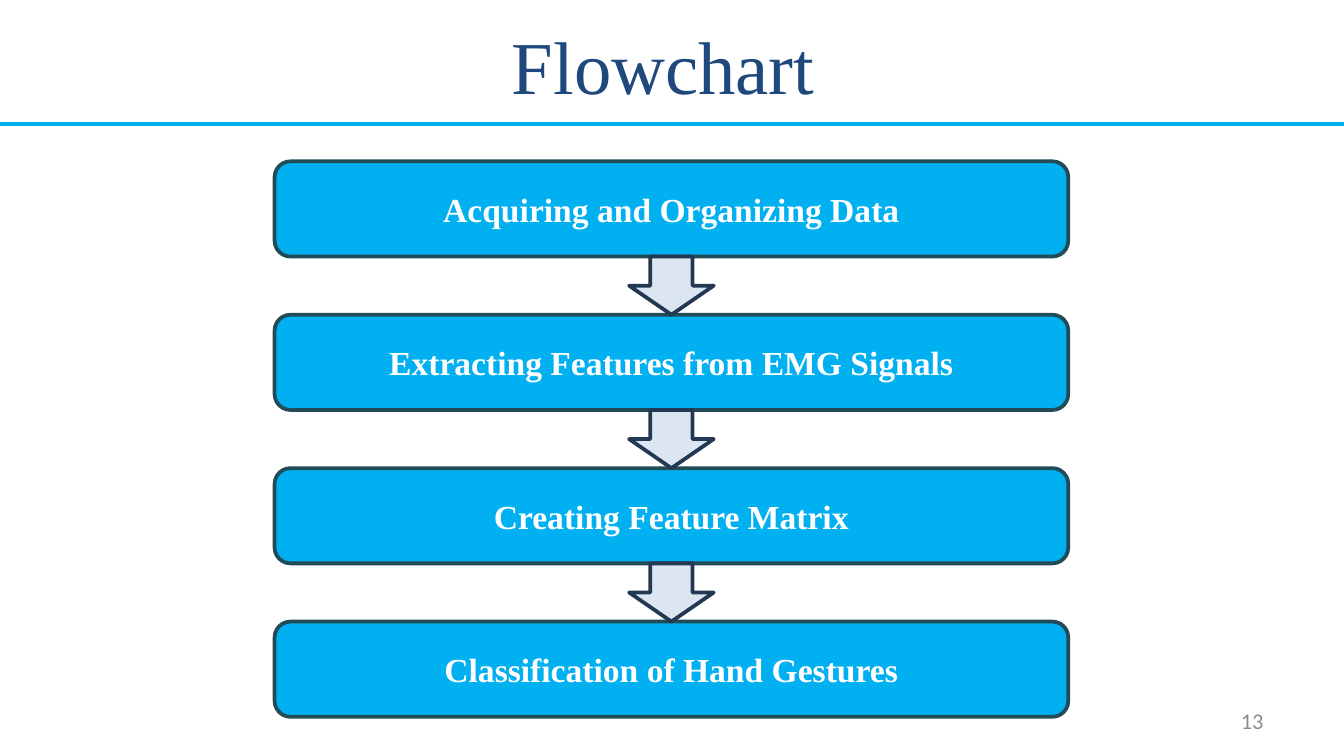
import pptx
import pptx.dml.color
import pptx.enum.shapes
import pptx.enum.text
import pptx.oxml.ns
import pptx.util
from lxml import etree

Cm = pptx.util.Cm
Pt = pptx.util.Pt
SHAPE = pptx.enum.shapes.MSO_SHAPE
ALIGN = pptx.enum.text.PP_ALIGN

STEPS = [
    "Acquiring and Organizing Data",
    "Extracting Features from EMG Signals",
    "Creating Feature Matrix",
    "Classification of Hand Gestures",
]
CENTER_X = 12.69
BOX_W, BOX_H = 15, 1.8
ARROW_W = 1.6
TOP, PITCH = 3.05, 2.9


def rgb(value):
    return pptx.dml.color.RGBColor.from_string(value)


class FlowSlide:
    serif = "Times New Roman"
    sans = "Calibri"
    navy = "1F497D"
    cyan = "00B0F0"
    white = "FFFFFF"
    gray = "8C8C8C"
    box_edge = "214B57"
    arrow_fill = "DCE6F2"
    arrow_edge = "233953"

    def __init__(self, prs):
        self.slide = prs.slides.add_slide(prs.slide_layouts[5])

    def set_text(self, sp, text, size, font, color, align, bold=False):
        tf = sp.text_frame
        tf.word_wrap = True
        tf.auto_size = pptx.enum.text.MSO_AUTO_SIZE.NONE
        tf.vertical_anchor = pptx.enum.text.MSO_ANCHOR.MIDDLE
        p = tf.paragraphs[0]
        p.alignment = align
        r = p.add_run()
        r.text = text
        r.font.size = Pt(size)
        r.font.name = font
        r.font.bold = bold
        r.font.color.rgb = rgb(color)

    def title(self, text, x, y, w, h):
        sp = self.slide.shapes.title
        sp.left, sp.top, sp.width, sp.height = Cm(x), Cm(y), Cm(w), Cm(h)
        self.set_text(sp, text, 40, self.serif, self.navy, ALIGN.CENTER)

    def rule(self, y, w):
        """Draw the horizontal line under the title."""
        line = self.slide.shapes.add_connector(
            pptx.enum.shapes.MSO_CONNECTOR.STRAIGHT, 0, Cm(y), Cm(w), Cm(y))
        line.line.color.rgb = rgb(self.cyan)
        line.line.width = Pt(2.25)
        etree.SubElement(line._element.spPr, pptx.oxml.ns.qn("a:effectLst"))

    def shape(self, kind, y, w, h, fill, edge):
        """Add a shape centered on the flow's axis."""
        sp = self.slide.shapes.add_shape(
            kind, Cm(CENTER_X - w / 2), Cm(y), Cm(w), Cm(h))
        sp.shadow.inherit = False
        sp.fill.solid()
        sp.fill.fore_color.rgb = rgb(fill)
        sp.line.color.rgb = rgb(edge)
        sp.line.width = Pt(2)
        return sp

    def step(self, text, y):
        sp = self.shape(SHAPE.FLOWCHART_ALTERNATE_PROCESS, y, BOX_W, BOX_H,
                        self.cyan, self.box_edge)
        self.set_text(sp, text, 18, self.serif, self.white, ALIGN.CENTER, True)

    def arrow(self, y, h):
        self.shape(SHAPE.DOWN_ARROW, y, ARROW_W, h,
                   self.arrow_fill, self.arrow_edge)

    def page_number(self, text, x, y, w, h):
        sp = self.slide.shapes.add_textbox(Cm(x), Cm(y), Cm(w), Cm(h))
        self.set_text(sp, text, 12, self.sans, self.gray, ALIGN.RIGHT)


def main():
    prs = pptx.Presentation()
    prs.slide_width, prs.slide_height = Cm(25.4), Cm(14.29)

    s = FlowSlide(prs)
    s.page_number("13", 18.2, 13.24, 5.93, 0.76)
    s.title("Flowchart ", 2.59, 0.64, 20.24, 1.17)
    s.rule(2.34, 25.4)
    for i, text in enumerate(STEPS):
        s.step(text, TOP + i * PITCH)
    for i in range(len(STEPS) - 1):
        s.arrow(TOP + i * PITCH + BOX_H, PITCH - BOX_H)

    prs.save("out.pptx")


if __name__ == "__main__":
    main()
